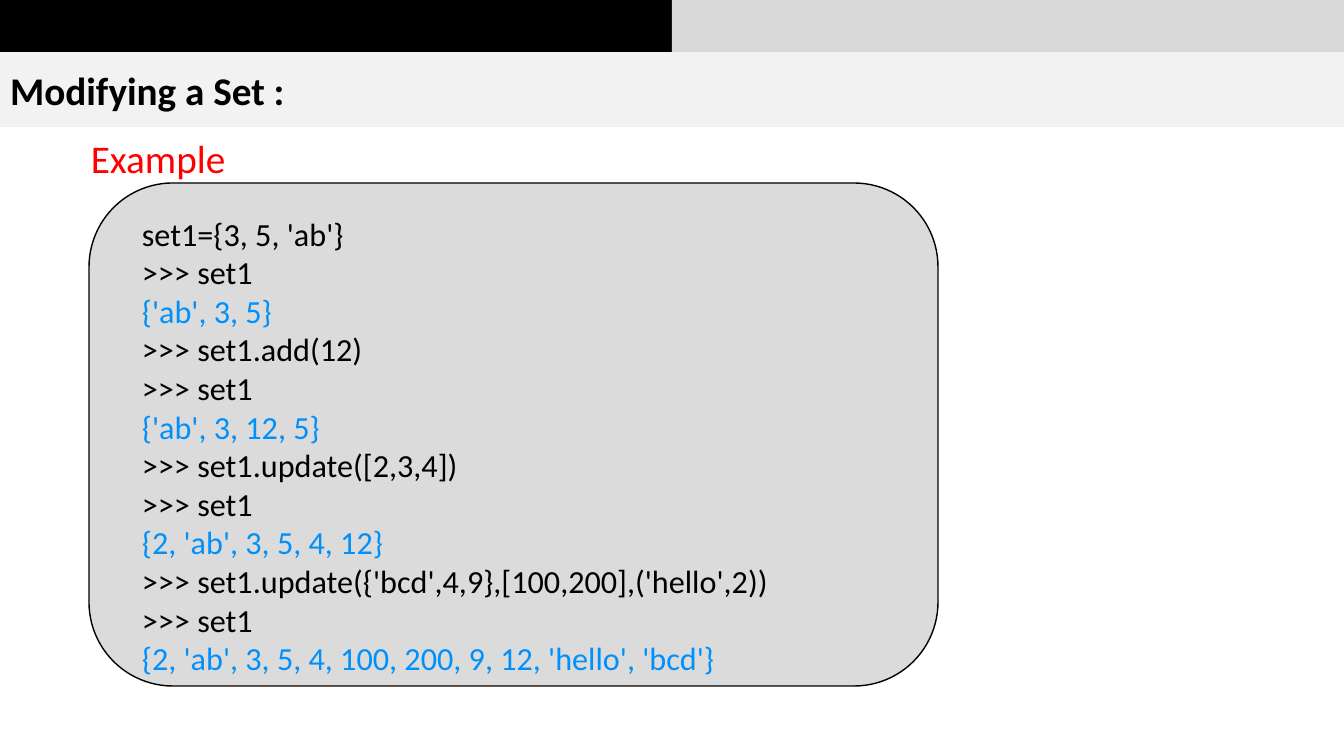
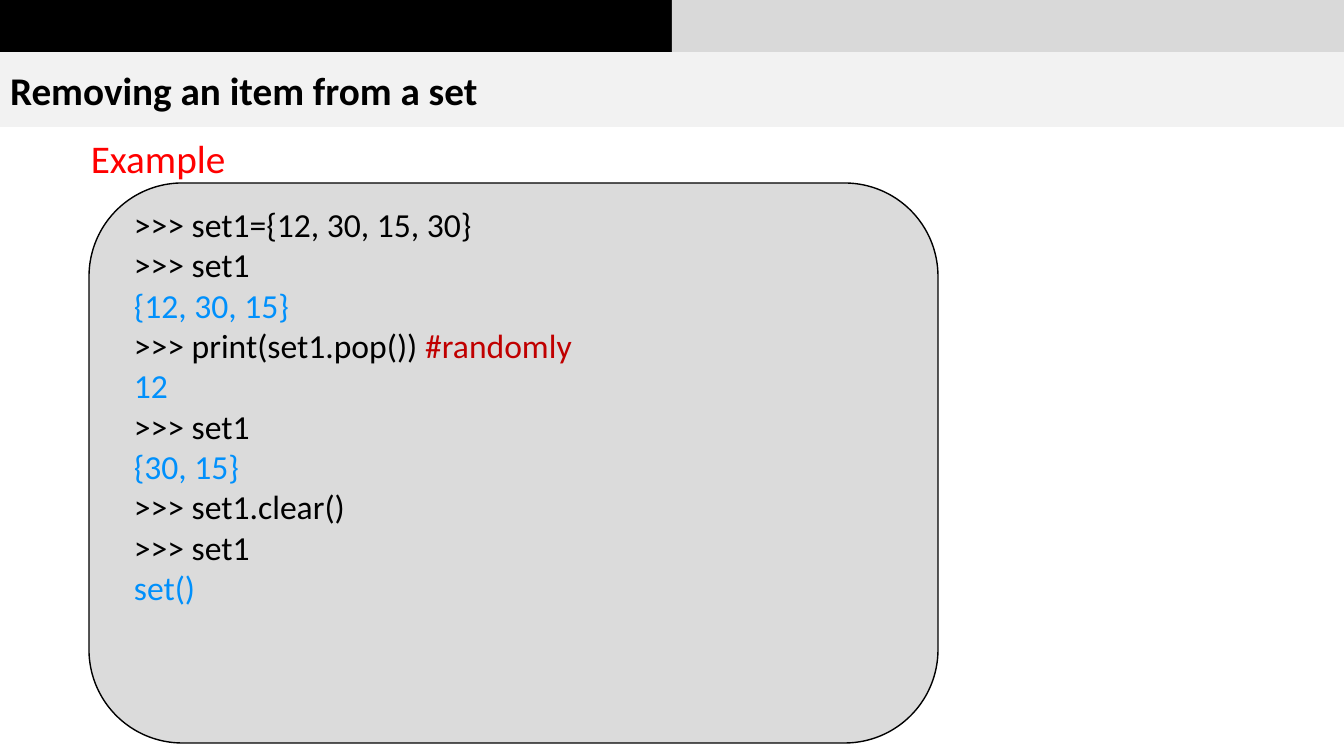
"""Build two slides of worked examples on Python sets."""
from pptx import Presentation
from pptx.dml.color import RGBColor
from pptx.enum.shapes import MSO_SHAPE
from pptx.enum.text import MSO_ANCHOR, MSO_AUTO_SIZE, PP_ALIGN
from pptx.util import Emu, Pt

RECT, ROUND = MSO_SHAPE.RECTANGLE, MSO_SHAPE.ROUNDED_RECTANGLE
MIDDLE, LEFT = MSO_ANCHOR.MIDDLE, PP_ALIGN.LEFT
FIXED, GROW = MSO_AUTO_SIZE.NONE, MSO_AUTO_SIZE.SHAPE_TO_FIT_TEXT
SCALE = 914400 / 100.8
WIDE, HIGH, BAND = 1344, 756, 52
BLACK, GREY, PALE, PANEL = "000000", "D9D9D9", "F2F2F2", "DBDBDB"
RED, BLUE, NOTE = "FF0000", "0090FC", "C00000"

SLIDES = [
    {"title": "Modifying a Set :", "panel": 503, "size": 23,
     "box": (132, 209, 683, 479),
     "code": ["set1={3, 5, 'ab'}",
              ">>> set1",
              "{'ab', 3, 5}",
              ">>> set1.add(12)",
              ">>> set1",
              "{'ab', 3, 12, 5}",
              ">>> set1.update([2,3,4])",
              ">>> set1",
              "{2, 'ab', 3, 5, 4, 12}",
              ">>> set1.update({'bcd',4,9},[100,200],('hello',2))",
              ">>> set1",
              "{2, 'ab', 3, 5, 4, 100, 200, 9, 12, 'hello', 'bcd'}"]},
    {"title": "Removing an item from a set", "panel": 560, "size": 24,
     "box": (124, 199, 756, 417),
     "code": [">>> set1={12, 30, 15, 30}",
              ">>> set1",
              "{12, 30, 15}",
              ">>> print(set1.pop()) #randomly",
              "12",
              ">>> set1",
              "{30, 15}",
              ">>> set1.clear()",
              ">>> set1",
              "set()"]},
]


def color(code):
    return RGBColor.from_string(code)


def write(para, text, size, ink, bold=False):
    run = para.add_run()
    run.text = text
    style = {"name": "Calibri", "size": Pt(size), "bold": bold}
    for key, value in style.items():
        setattr(run.font, key, value)
    run.font.color.rgb = color(ink)


deck = Presentation()
deck.slide_width, deck.slide_height = Emu(int(WIDE * SCALE)), Emu(int(HIGH * SCALE))

for item in SLIDES:
    slide = deck.slides.add_slide(deck.slide_layouts[5])
    shapes = slide.shapes

    title = shapes.title
    place = {"left": 0, "top": BAND, "width": WIDE, "height": 75}
    for key, value in place.items():
        setattr(title, key, Emu(int(value * SCALE)))
    title.fill.solid()
    title.fill.fore_color.rgb = color(PALE)
    frame = title.text_frame
    frame.auto_size, frame.vertical_anchor = FIXED, MIDDLE
    frame.paragraphs[0].alignment = LEFT
    write(frame.paragraphs[0], item["title"], 28, BLACK, True)

    blocks = [(RECT, (0, 0, WIDE // 2, BAND), BLACK, None),
              (RECT, (WIDE // 2, 0, WIDE // 2, BAND), GREY, None),
              (ROUND, (89, 183, 849, item["panel"]), PANEL, BLACK)]
    for kind, spot, fill, edge in blocks:
        block = shapes.add_shape(kind, *(Emu(int(n * SCALE)) for n in spot))
        block.shadow.inherit = False
        block.fill.solid()
        block.fill.fore_color.rgb = color(fill)
        if edge:
            block.line.color.rgb = color(edge)
            block.line.width = Pt(1)
        else:
            block.line.fill.background()

    texts = [((81, 129, 165, 57), ["Example"], 28, False),
             (item["box"], item["code"], item["size"], True)]
    for spot, lines, size, wrap in texts:
        box = shapes.add_textbox(*(Emu(int(n * SCALE)) for n in spot))
        frame = box.text_frame
        frame.word_wrap, frame.auto_size = wrap, GROW
        for row, line in enumerate(lines):
            para = frame.add_paragraph() if row else frame.paragraphs[0]
            typed = line.startswith((">>>", "set1="))
            ink = BLACK if typed else BLUE if wrap else RED
            code, mark, note = line.partition("#")
            write(para, code, size, ink)
            if mark:
                write(para, mark + note, size, NOTE)

deck.save("out.pptx")
